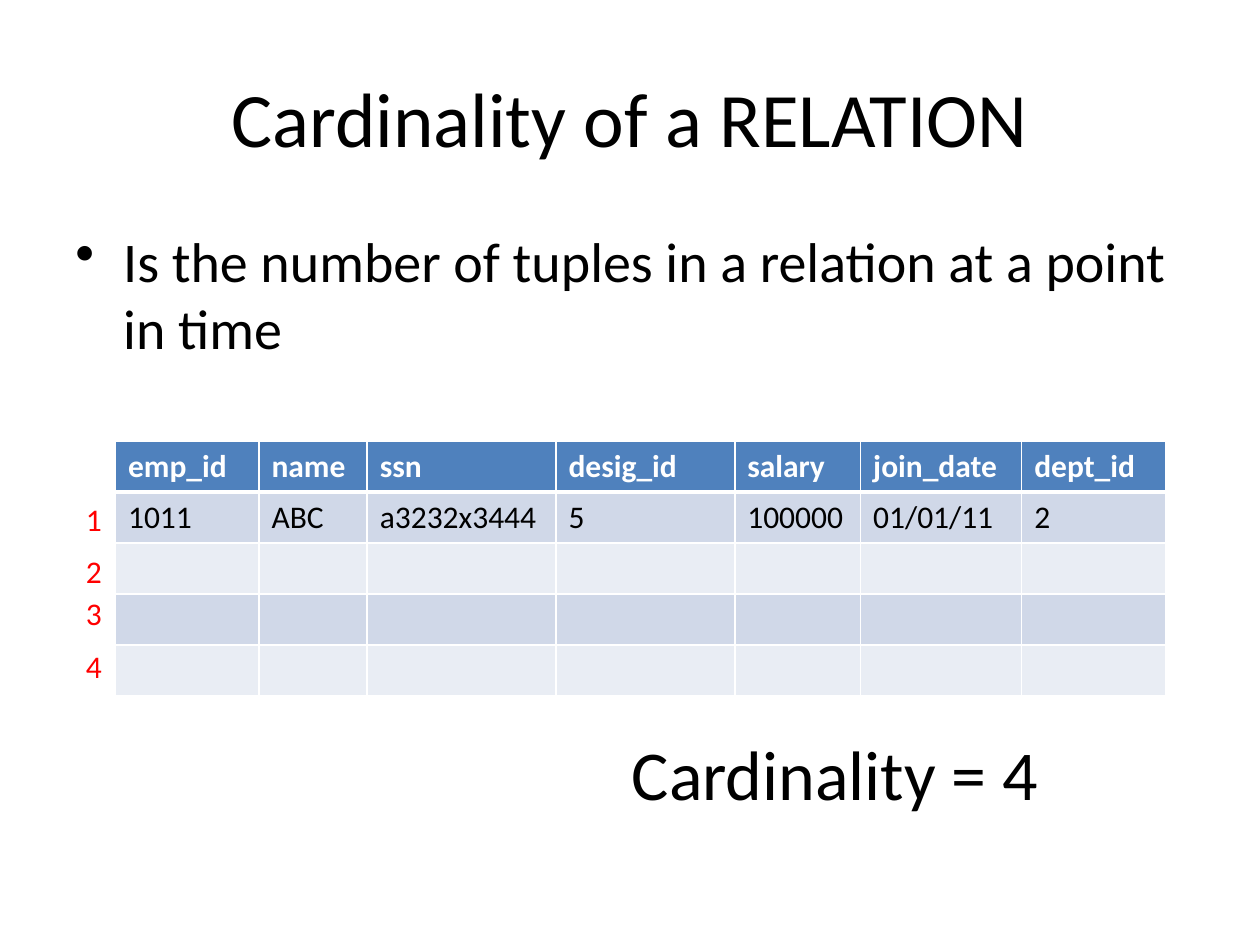
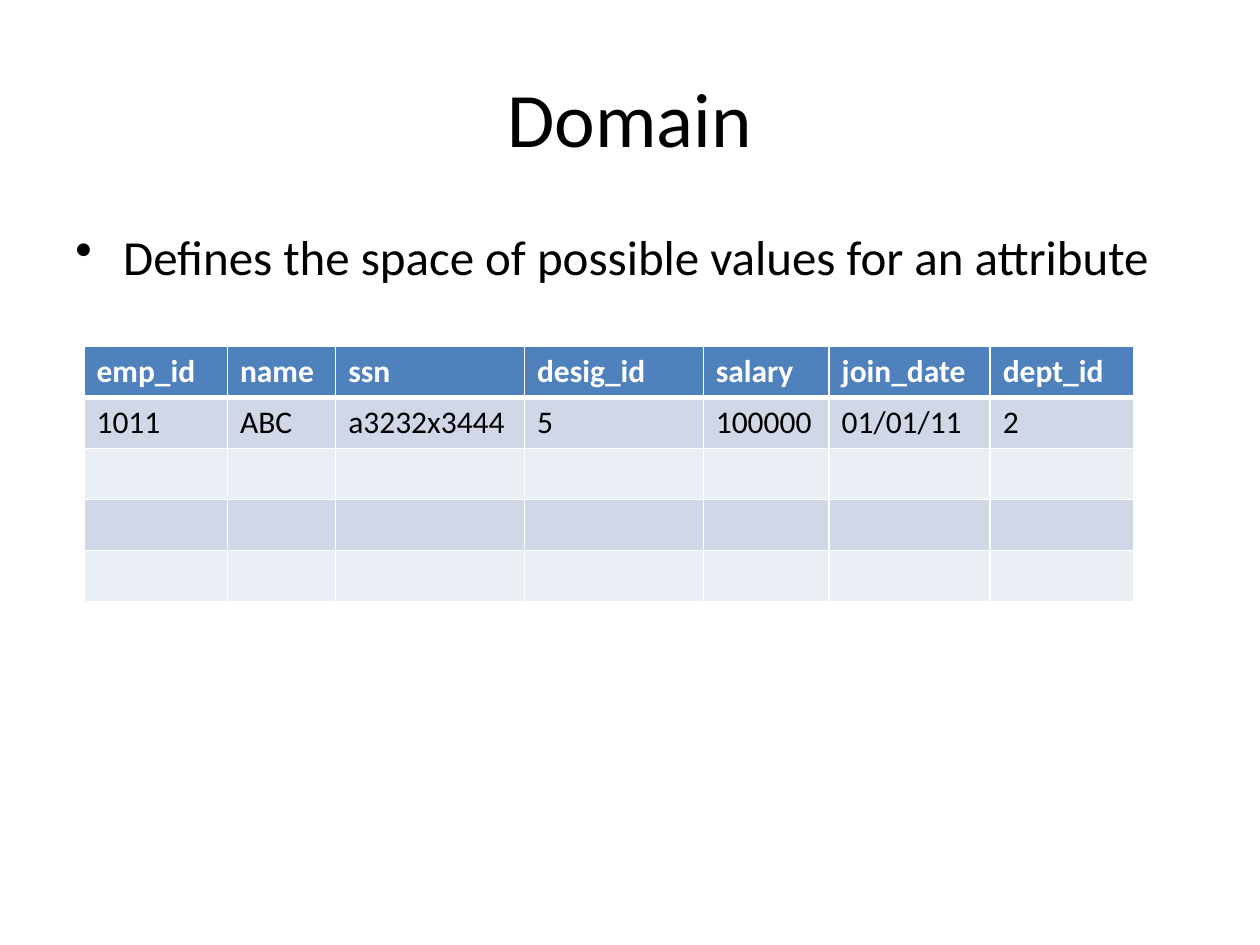
from dataclasses import dataclass

from pptx import Presentation
from pptx import util as u
from pptx.dml.color import RGBColor
from pptx.enum import text as tx
from pptx.oxml import parse_xml
from pptx.oxml.ns import nsdecls


@dataclass(frozen=True)
class Theme:
    face: str = "Calibri"
    ink: str = "000000"
    paper: str = "FFFFFF"
    mark: str = "FF0000"
    head: str = "4F81BD"
    bands: tuple = ("D0D8E8", "E9EDF4")
    title: int = 44
    body: int = 32
    tight: int = 28
    sum: int = 40
    cell: int = 18
    thin: int = 1
    thick: int = 3


T = Theme()
UNIT = u.Inches(1) / 12
WIDE, HIGH = 120, 90
EDGE = 6
COLS = (1.14, 0.86, 1.5, 1.42, 1, 1.28, 1.14)
ROW = 4.86
DATA = (
    ("emp_id", "name", "ssn", "desig_id", "salary", "join_date", "dept_id"),
    ("1011", "ABC", "a3232x3444", "5", "100000", "01/01/11", "2"),
    *[("",) * len(COLS)] * 3,
)


def grid(*spans):
    return [round(n * UNIT) for n in spans]


def apply(item, form):
    for name, value in form.items():
        setattr(item, name, value)


def style(para, size, color=T.ink, bold=False):
    apply(para.font, {"name": T.face, "size": u.Pt(size), "bold": bold})
    para.font.color.rgb = RGBColor.from_string(color)


def write(slide, box, words, size, color=T.ink, **form):
    frame = slide.shapes.add_textbox(*grid(*box)).text_frame
    apply(frame, {"word_wrap": True, **form})
    para = frame.paragraphs[0]
    para.text = words
    style(para, size, color)
    return para


def label(slide, box, words, size, color=T.ink):
    write(slide, box, words, size, color, word_wrap=False,
          auto_size=tx.MSO_AUTO_SIZE.SHAPE_TO_FIT_TEXT)


def title(slide, box, words):
    para = write(slide, box, words, T.title,
                 vertical_anchor=tx.MSO_ANCHOR.MIDDLE)
    para.alignment = tx.PP_ALIGN.CENTER


def body(slide, box, words, size):
    para = write(slide, box, "", size)
    props = para._p.get_or_add_pPr()
    indent = u.Inches(0.38)
    props.set("marL", str(indent))
    props.set("indent", str(-indent))
    props.insert(0, parse_xml(f'<a:buChar {nsdecls("a")} char="•"/>'))
    para.add_run().text = words
    style(para, size)


def border(cell, row):
    props = cell._tc.get_or_add_tcPr()
    heavy = {0: "B", 1: "T"}.get(row)
    for side in "LRTB":
        width = u.Pt(T.thick if side == heavy else T.thin)
        props.append(parse_xml(
            f'<a:ln{side} {nsdecls("a")} w="{width}"><a:solidFill>'
            f'<a:srgbClr val="{T.paper}"/></a:solidFill></a:ln{side}>'))


def table(slide, box):
    grown = slide.shapes.add_table(len(DATA), len(COLS), *grid(*box)).table
    for col, part in zip(grown.columns, COLS):
        col.width, = grid(box[2] * part / sum(COLS))
    for r, line in enumerate(DATA):
        grown.rows[r].height, = grid(box[3] / len(DATA))
        for c, words in enumerate(line):
            cell = grown.cell(r, c)
            border(cell, r)
            cell.fill.solid()
            fill = T.bands[(r - 1) % 2] if r else T.head
            cell.fill.fore_color.rgb = RGBColor.from_string(fill)
            cell.text = words
            style(cell.text_frame.paragraphs[0], T.cell,
                  T.ink if r else T.paper, r == 0)


def count(slide, box):
    left, top, wide, high = box
    for num, drop in enumerate((5, 10, 14, 19), 1):
        label(slide, (left - 4, top + drop, 4, 4.8), str(num), T.cell, T.mark)
    label(slide, (left + 48, top + 27, 41.5, 9.2), "Cardinality = 4", T.sum)


def page(deck, head, point, size, left, top):
    slide = deck.slides.add_slide(deck.slide_layouts[6])
    span = WIDE - 2 * EDGE
    box = (left, top, 100, ROW * len(DATA))
    title(slide, (EDGE, 3.6, span, 15), head)
    body(slide, (EDGE, 21, span, 59.4), point, size)
    table(slide, box)
    return slide, box


def main():
    deck = Presentation()
    deck.slide_width, deck.slide_height = grid(WIDE, HIGH)
    count(*page(deck, "Cardinality of a RELATION",
                "Is the number of tuples in a relation at a point in time",
                T.body, 11, 42))
    page(deck, "Domain",
         "Defines the space of possible values for an attribute",
         T.tight, 8, 33)
    deck.save("out.pptx")


if __name__ == "__main__":
    main()
